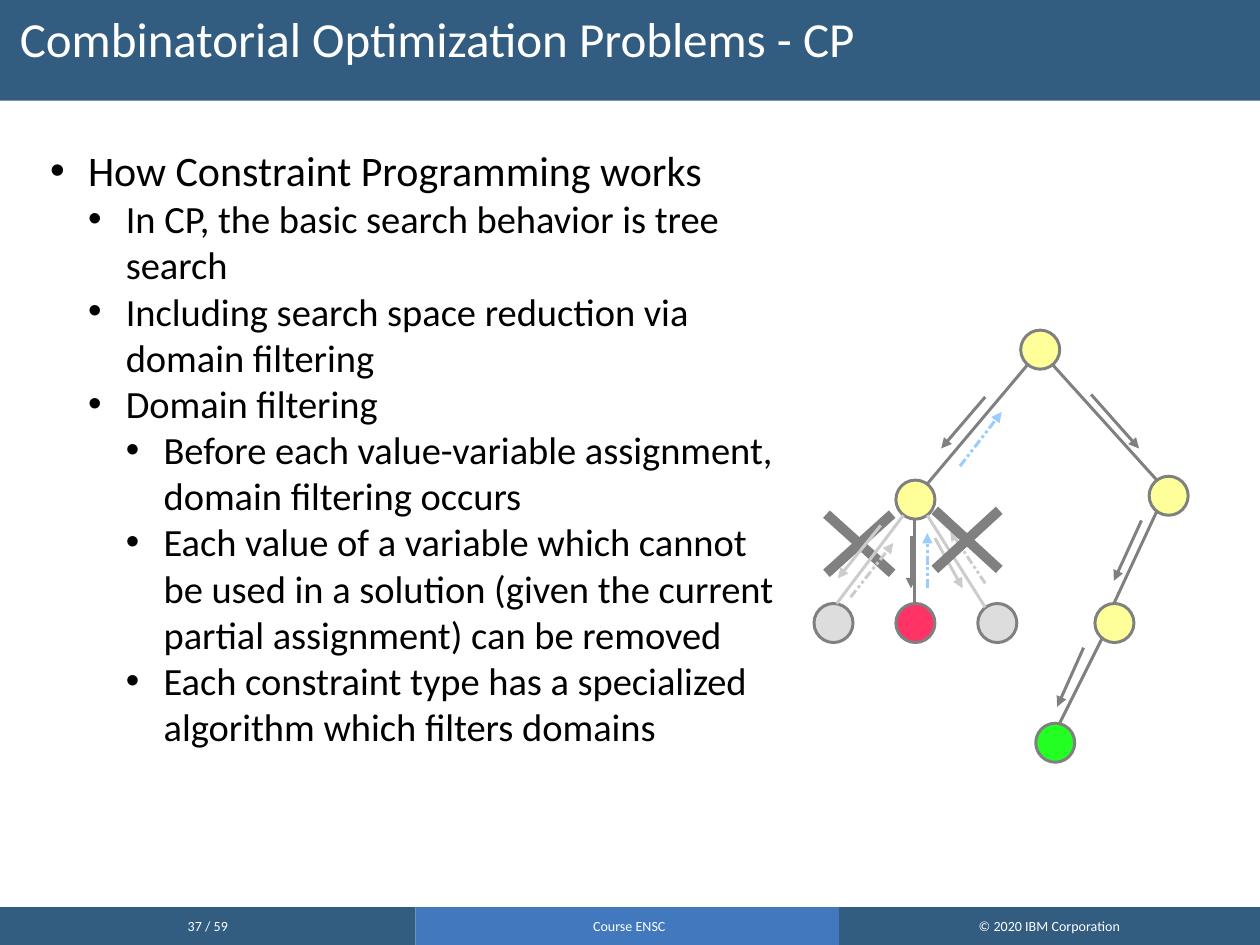
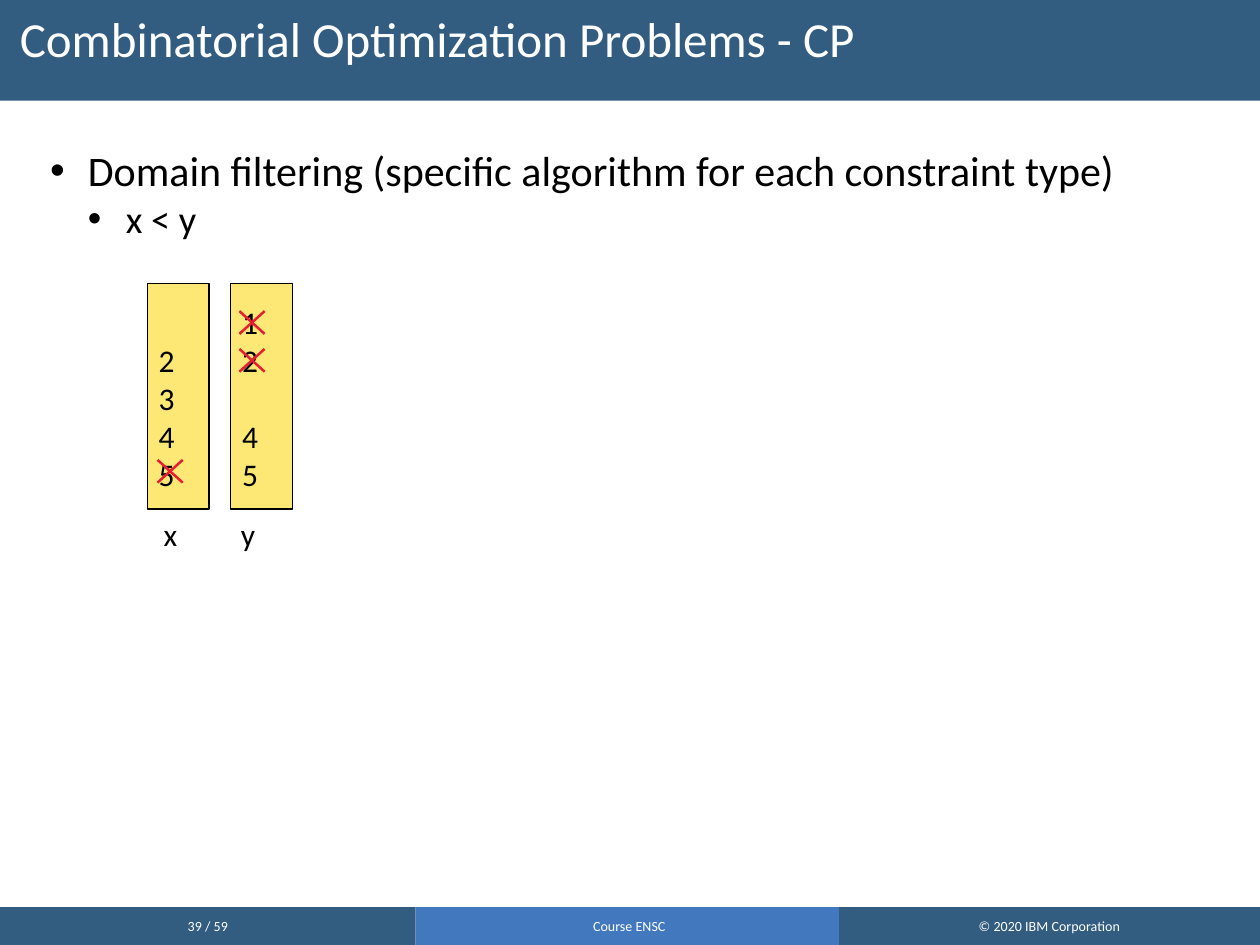
from dataclasses import dataclass
from lxml.etree import SubElement
from pptx import Presentation
from pptx.dml.color import RGBColor
from pptx.enum.shapes import MSO_CONNECTOR as Connector, MSO_SHAPE as Shape
from pptx.enum.text import MSO_ANCHOR as Anchor, PP_ALIGN as Align
from pptx.oxml.ns import qn
from pptx.util import Pt


@dataclass(frozen=True)
class Theme:
    font: str = "Calibri"
    navy: str = "325C80"
    blue: str = "4178BE"
    white: str = "FFFFFF"
    black: str = "000000"
    gray: str = "808080"
    light: str = "CCCCCC"
    sky: str = "99CCFF"
    open_node: str = "FFFF99"
    pruned_node: str = "DDDDDD"
    failed_node: str = "FF3366"
    solution_node: str = "23FF23"
    domain: str = "FDE876"
    removed: str = "E71D32"
    title_size: int = 28
    bullet_sizes: tuple = (24, 22, 22)
    domain_size: int = 18
    footer_size: int = 8


theme = Theme()


def draw_shape(page, kind, left, top, width, height, fill, outline=None, weight=1.7):
    shape = page.shapes.add_shape(kind, Pt(left), Pt(top), Pt(width), Pt(height))
    shape.shadow.inherit = False
    shape.fill.solid()
    shape.fill.fore_color.rgb = RGBColor.from_string(fill)
    if outline:
        shape.line.color.rgb = RGBColor.from_string(outline)
        shape.line.width = Pt(weight)
    else:
        shape.line.fill.background()
    return shape


def draw_line(page, start_x, start_y, end_x, end_y, color, weight=1.7, arrow=False, dashed=False):
    line = page.shapes.add_connector(
        Connector.STRAIGHT, Pt(start_x), Pt(start_y), Pt(end_x), Pt(end_y))
    line.line.color.rgb = RGBColor.from_string(color)
    line.line.width = Pt(weight)
    properties = line.element.spPr
    outline = properties.find(qn("a:ln"))
    if dashed:
        SubElement(outline, qn("a:prstDash"), val="sysDashDotDot")
    if arrow:
        SubElement(outline, qn("a:tailEnd"), type="triangle")
    SubElement(properties, qn("a:effectLst"))


deck = Presentation()
deck.slide_width, deck.slide_height = Pt(720), Pt(540)

contents = [
    ("37 / 59", 435.6, [
        (0, "How Constraint Programming works"),
        (1, "In CP, the basic search behavior is tree search"),
        (1, "Including search space reduction via domain filtering"),
        (1, "Domain filtering"),
        (2, "Before each value-variable assignment, domain filtering occurs"),
        (2, "Each value of a variable which cannot be used in a solution "
            "(given the current partial assignment) can be removed"),
        (2, "Each constraint type has a specialized algorithm which filters domains"),
    ]),
    ("39 / 59", 698.4, [
        (0, "Domain filtering (specific algorithm for each constraint type)"),
        (1, "x < y"),
    ]),
]

pages = []
for number, body_width, bullets in contents:
    page = deck.slides.add_slide(deck.slide_layouts[6])
    pages.append(page)
    draw_shape(page, Shape.RECTANGLE, -7.2, -7.2, 734.4, 64.8, theme.navy)

    footers = [
        (0, 237.6, theme.navy, number),
        (237.6, 244.1, theme.blue, "Course ENSC"),
        (479.5, 240.5, theme.navy, "© 2020 IBM Corporation"),
    ]
    for left, width, fill, text in footers:
        footer = draw_shape(page, Shape.RECTANGLE, left, 518.4, width, 21.6, fill)
        footer.text_frame.word_wrap = False
        footer.text_frame.vertical_anchor = Anchor.MIDDLE
        para = footer.text_frame.paragraphs[0]
        para.text = text
        para.alignment = Align.CENTER
        para.font.name = theme.font
        para.font.size = Pt(theme.footer_size)
        para.font.color.rgb = RGBColor.from_string(theme.white)

    title = page.shapes.add_textbox(0, 0, Pt(720), Pt(57.6))
    title.text_frame.word_wrap = True
    title.text_frame.margin_top = Pt(8.64)
    para = title.text_frame.paragraphs[0]
    para.text = "Combinatorial Optimization Problems - CP"
    para.line_spacing = 0.9
    para._p.get_or_add_pPr().set("marL", str(Pt(4.32)))
    para.font.name = theme.font
    para.font.size = Pt(theme.title_size)
    para.font.color.rgb = RGBColor.from_string(theme.white)

    body = page.shapes.add_textbox(Pt(21.6), Pt(79.2), Pt(body_width), Pt(424.8))
    body.text_frame.word_wrap = True
    for index, (level, text) in enumerate(bullets):
        para = body.text_frame.add_paragraph() if index else body.text_frame.paragraphs[0]
        para.text = text
        para.level = level
        properties = para._p.get_or_add_pPr()
        properties.set("marL", str(Pt(21.6 * (level + 1))))
        properties.set("indent", str(-Pt(21.6)))
        SubElement(properties, qn("a:buFont"), typeface="Arial")
        SubElement(properties, qn("a:buChar"), char="•")
        para.font.name = theme.font
        para.font.size = Pt(theme.bullet_sizes[level])
        para.font.color.rgb = RGBColor.from_string(theme.black)

search_page, filter_page = pages

node_size = 22.3
nodes = [
    (594.4, 199.8, theme.open_node),
    (523.1, 285.5, theme.open_node),
    (667.8, 283.3, theme.open_node),
    (476.3, 356, theme.pruned_node),
    (523.1, 356, theme.failed_node),
    (569.9, 356, theme.pruned_node),
    (636.8, 356, theme.open_node),
    (603, 424.4, theme.solution_node),
]
for center_x, center_y, fill in nodes:
    draw_shape(search_page, Shape.OVAL, center_x - node_size / 2, center_y - node_size / 2,
               node_size, node_size, fill, theme.gray)

left_cross = [(472.3, 327.6, 509.8, 293.8), (472.3, 293.8, 509.8, 327.6)]
right_cross = [(534.2, 325.4, 571, 291.6), (534.2, 291.6, 571, 325.4)]
edges = [
    (587.5, 208.1, 529.9, 276.5, theme.gray),
    (601.2, 208.1, 661, 274.3, theme.gray),
    (516.2, 294.5, 478.1, 344.9, theme.light),
    (522.7, 296.6, 522.7, 344.9, theme.gray),
    (529.9, 294.5, 563, 347, theme.light),
    (661, 292.3, 636.5, 344.9, theme.gray),
    (630, 364.3, 605.5, 413.3, theme.gray),
]
descents = [
    (563, 226.8, 537.8, 256.3, theme.gray),
    (503.3, 300.2, 478.8, 330.5, theme.light),
    (520.6, 306, 520.6, 336.2, theme.gray),
    (534.2, 307.4, 550.1, 336.2, theme.light),
    (623.5, 225.4, 650.9, 256.3, theme.gray),
    (652.3, 297.4, 636.5, 331.9, theme.gray),
    (619.2, 370.1, 604.1, 403.9, theme.gray),
]
backtracks = [
    (548.6, 266.4, 572.4, 235.4, theme.sky),
    (486, 341.3, 510.5, 310.3, theme.light),
    (529.9, 336.2, 529.9, 304.6, theme.sky),
    (563, 333.4, 542.9, 303.1, theme.light),
]
for stroke in left_cross:
    draw_line(search_page, *stroke, theme.gray, 5.67)
for edge in edges:
    draw_line(search_page, *edge)
for descent in descents:
    draw_line(search_page, *descent, arrow=True)
for backtrack in backtracks:
    draw_line(search_page, *backtrack, arrow=True, dashed=True)
for stroke in right_cross:
    draw_line(search_page, *stroke, theme.gray, 5.67)

row_height = 22
for left, values in [(84.2, (2, 3, 4, 5)), (131.8, (1, 2, 4, 5))]:
    domain = draw_shape(filter_page, Shape.RECTANGLE, left, 162, 35.3, 128.9,
                        theme.domain, theme.black, 0.71)
    frame = domain.text_frame
    frame.word_wrap = True
    frame.vertical_anchor = Anchor.BOTTOM
    frame.margin_left = frame.margin_right = Pt(6.5)
    frame.margin_top, frame.margin_bottom = Pt(2.9), Pt(9.5)
    for index, value in enumerate(values):
        para = frame.add_paragraph() if index else frame.paragraphs[0]
        para.text = str(value)
        para.alignment = Align.LEFT
        if index:
            para.space_before = Pt(row_height * (value - values[index - 1] - 1))
        para.font.name = theme.font
        para.font.size = Pt(theme.domain_size)
        para.font.color.rgb = RGBColor.from_string(theme.black)

variables = filter_page.shapes.add_textbox(Pt(86.4), Pt(290.9), Pt(99.4), Pt(28.8))
variables.text_frame.word_wrap = False
para = variables.text_frame.paragraphs[0]
para.text = "x\ty"
tabs = SubElement(para._p.get_or_add_pPr(), qn("a:tabLst"))
SubElement(tabs, qn("a:tab"), pos=str(Pt(44.2)), algn="l")
para.font.name = theme.font
para.font.size = Pt(theme.domain_size)
para.font.color.rgb = RGBColor.from_string(theme.black)

for left, top in [(136.8, 177.8), (136.8, 199.4), (90, 262.8)]:
    right, bottom = left + 14.4, top + 13
    draw_line(filter_page, left, top, right, bottom, theme.removed, 1.42)
    draw_line(filter_page, left, bottom, right, top, theme.removed, 1.42)

deck.save("out.pptx")
